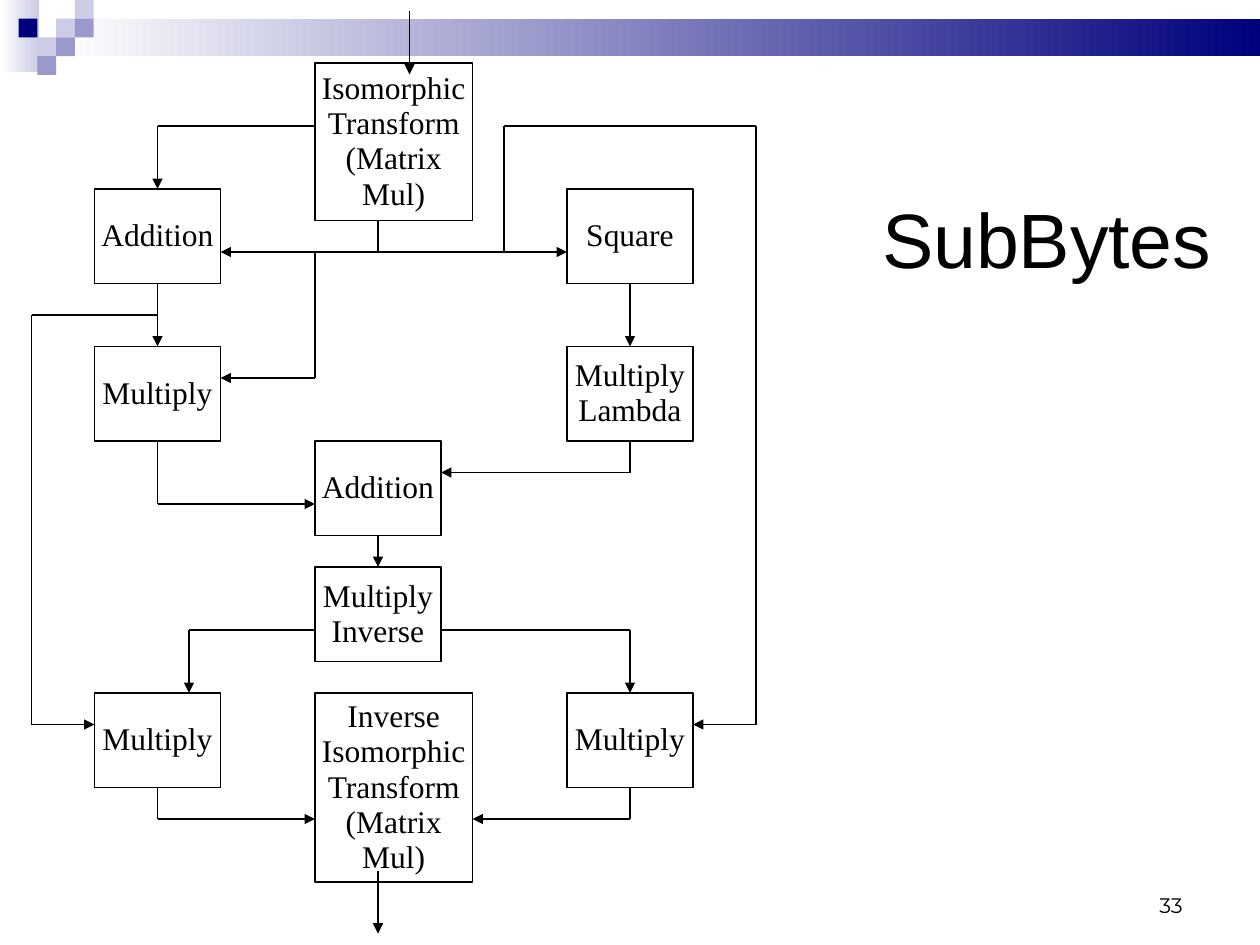
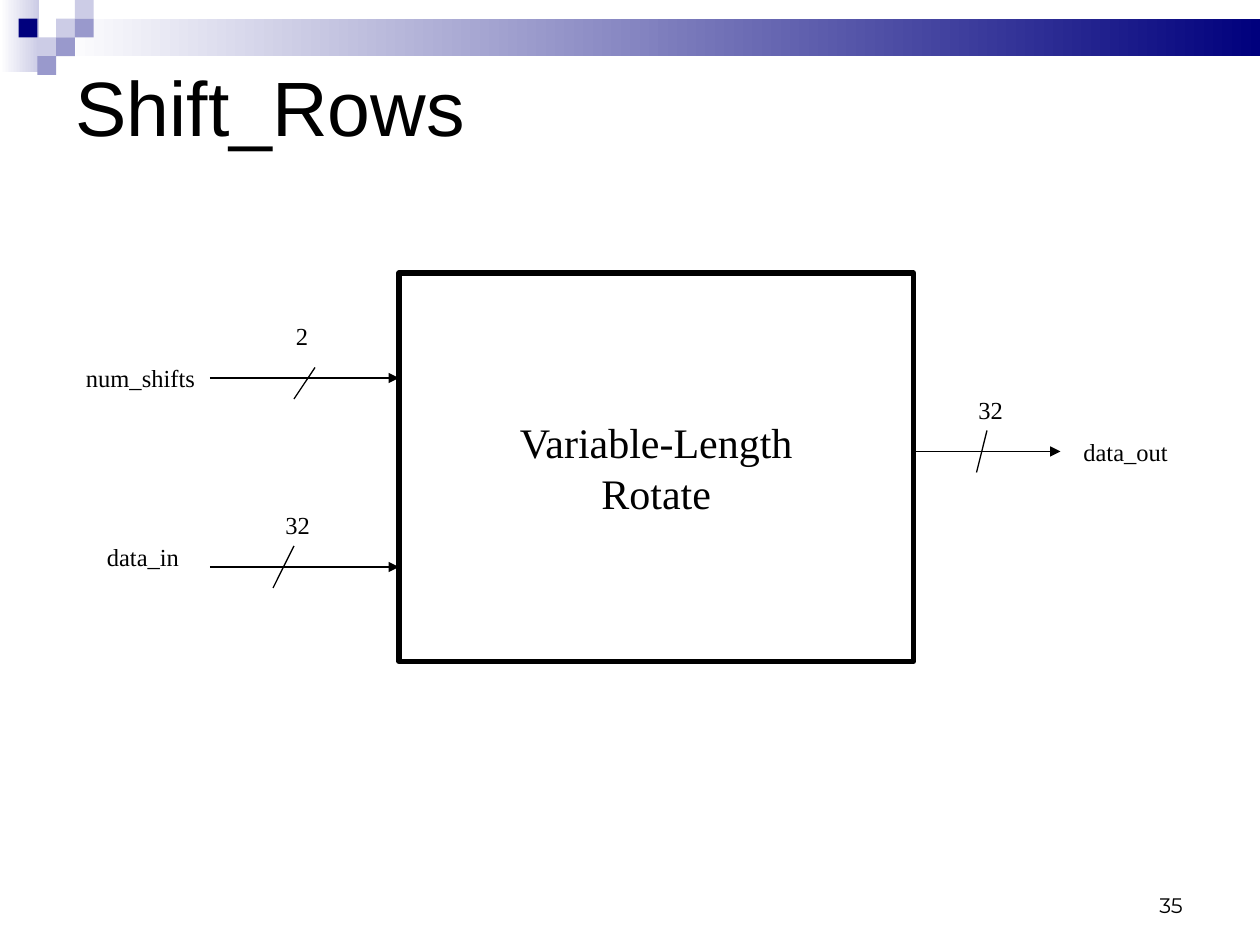
from itertools import pairwise

from lxml import etree
from pptx import Presentation
from pptx.dml.color import RGBColor
from pptx.enum import shapes as kinds, text as modes
from pptx.oxml.ns import qn
from pptx.util import Pt

INK = {"black": "000000", "white": "FFFFFF", "navy": "00007D",
       "mid": "9999CC", "pale": "CCCCE6"}
RGB = {name: RGBColor.from_string(code) for name, code in INK.items()}
SERIF, SANS, FOOT = "Times New Roman", "Arial", "Montserrat"
LEFT, MID, RIGHT = modes.PP_ALIGN.LEFT, modes.PP_ALIGN.CENTER, modes.PP_ALIGN.RIGHT
TOP, MIDDLE, BOTTOM = (modes.MSO_ANCHOR.TOP, modes.MSO_ANCHOR.MIDDLE,
                       modes.MSO_ANCHOR.BOTTOM)
FIXED, GROW = modes.MSO_AUTO_SIZE.NONE, modes.MSO_AUTO_SIZE.SHAPE_TO_FIT_TEXT
RECT = kinds.MSO_SHAPE.RECTANGLE


def write(shape, words, size, font, frame, para):
    """Fill a shape with lines of text; frame and para hold format values."""
    body = shape.text_frame
    body.text = words
    for key, val in frame.items():
        setattr(body, key, val)
    for line in body.paragraphs:
        for key, val in para.items():
            setattr(line, key, val)
        for key, val in {"size": Pt(size), "name": font}.items():
            setattr(line.font, key, val)
        line.font.color.rgb = RGB["black"]


def wire(slide, grid, points, arrow):
    """Join grid points with straight lines, the last one with an arrowhead."""
    for start, end in pairwise(points):
        line = slide.shapes.add_connector(
            kinds.MSO_CONNECTOR.STRAIGHT, *[Pt(v * grid) for v in start + end])
        line.line.width = Pt(0.75)
        line.line.color.rgb = RGB["black"]
        props = line.element.spPr
        if arrow and end == points[-1]:
            etree.SubElement(props.find(qn("a:ln")), qn("a:tailEnd"), type="triangle")
        etree.SubElement(props, qn("a:effectLst"))


# Each page has its own grid, in points; boxes, wires and labels are in grid units.
pages = [
    {
        "title": "SubBytes", "number": "33", "grid": 18,
        "place": (504, 97.2, 648, 82.8), "inset": (0, 0), "lead": 0.93,
        "size": 18, "edge": 0.75, "spacing": 0.93,
        "boxes": [
            (10, 2, 5, 5, "Isomorphic\nTransform\n(Matrix\nMul)"),
            (18, 6, 4, 3, "Square"),
            (3, 6, 4, 3, "Addition"),
            (18, 11, 4, 3, "Multiply\nLambda"),
            (3, 11, 4, 3, "Multiply"),
            (3, 22, 4, 3, "Multiply"),
            (18, 22, 4, 3, "Multiply"),
            (10, 18, 4, 3, "Multiply\nInverse"),
            (10, 14, 4, 3, "Addition"),
            (10, 22, 5, 6, "Inverse\nIsomorphic\nTransform\n(Matrix\nMul)"),
        ],
        "arrows": [
            [(13, 0.36), (13, 2.36)],
            [(10, 4), (5, 4), (5, 6)],
            [(12, 8), (7, 8)],
            [(12, 8), (18, 8)],
            [(5, 9), (5, 11)],
            [(10, 8), (10, 12), (7, 12)],
            [(5, 14), (5, 16), (10, 16)],
            [(5, 10), (1, 10), (1, 23), (3, 23)],
            [(16, 8), (16, 4), (19, 4), (24, 4), (24, 23), (22, 23)],
            [(20, 9), (20, 11)],
            [(20, 14), (20, 15), (14, 15)],
            [(12, 17), (12, 18)],
            [(10, 20), (6, 20), (6, 22)],
            [(14, 20), (20, 20), (20, 22)],
            [(5, 25), (5, 26), (10, 26)],
            [(20, 25), (20, 26), (15, 26)],
            [(12, 27.64), (12, 29.64)],
        ],
        "lines": [[(12, 7), (12, 8)]],
        "labels": [],
    },
    {
        "title": "Shift_Rows", "number": "35", "grid": 6,
        "place": (36, 21.6, 648, 90), "inset": (7.2, 3.6), "lead": 0.71,
        "size": 24, "edge": 3, "spacing": 1.0,
        "boxes": [(38, 26, 49, 37, "Variable-Length\nRotate")],
        "arrows": [
            [(20, 36), (38, 36)],
            [(20, 54), (38, 54)],
            [(87, 43), (101, 43)],
        ],
        "lines": [
            [(94, 41), (93, 45)],
            [(30, 35), (28, 38)],
            [(28, 52), (26, 56)],
        ],
        "labels": [
            (27, 30, 6, "2"),
            (92, 37, 6, "32"),
            (26, 48, 6, "32"),
            (7, 34, 18, "num_shifts"),
            (102, 41, 18, "data_out"),
            (9, 51, 18, "data_in"),
        ],
    },
]

deck = Presentation()
deck.slide_width, deck.slide_height = Pt(720), Pt(540)
layout = deck.slide_layouts[5]
slides = [deck.slides.add_slide(layout) for page in pages]

# Header band and mosaic: drawn once, then moved to the shared layout.
CELL = 10.7
decor = [(0, 0, 22.3, 41, "pale", True), (32.4, 10.8, 687.6, 21.4, "navy", True)]
for col, row, hue in [(3, 1, "pale"), (4, 0, "pale"), (4, 1, "mid"), (2, 2, "pale"),
                      (1, 1, "navy"), (3, 2, "mid"), (2, 3, "mid")]:
    decor.append((col * CELL, row * CELL, CELL, CELL, hue, False))
for *place, hue, fade in decor:
    patch = slides[0].shapes.add_shape(RECT, *[Pt(v) for v in place])
    patch.shadow.inherit = False
    patch.line.fill.background()
    if fade:
        patch.fill.gradient()
        patch.fill.gradient_angle = 180
        for stop, tone in zip(patch.fill.gradient_stops, (hue, "white")):
            stop.color.rgb = RGB[tone]
    else:
        patch.fill.solid()
        patch.fill.fore_color.rgb = RGB[hue]
    layout.shapes.element.append(patch.element)

for slide, page in zip(slides, pages):
    grid = page["grid"]

    title = slide.shapes.title
    for side, val in zip(("left", "top", "width", "height"), page["place"]):
        setattr(title, side, Pt(val))
    across, down = [Pt(v) for v in page["inset"]]
    write(title, page["title"], 44, SANS,
          {"vertical_anchor": MIDDLE, "auto_size": FIXED, "word_wrap": True,
           "margin_left": across, "margin_right": across,
           "margin_top": down, "margin_bottom": down},
          {"alignment": LEFT, "line_spacing": page["lead"]})

    for *place, words in page["boxes"]:
        box = slide.shapes.add_shape(RECT, *[Pt(v * grid) for v in place])
        box.shadow.inherit = False
        box.fill.solid()
        box.fill.fore_color.rgb = RGB["white"]
        box.line.color.rgb = RGB["black"]
        box.line.width = Pt(page["edge"])
        write(box, words, page["size"], SERIF,
              {"vertical_anchor": MIDDLE, "word_wrap": False},
              {"alignment": MID, "line_spacing": page["spacing"]})

    for points in page["arrows"]:
        wire(slide, grid, points, True)
    for points in page["lines"]:
        wire(slide, grid, points, False)

    for left, top, width, words in page["labels"]:
        label = slide.shapes.add_textbox(
            Pt(left * grid), Pt(top * grid), Pt(width * grid), Pt(24.5))
        write(label, words, 14, SERIF,
              {"vertical_anchor": TOP, "word_wrap": True, "auto_size": GROW},
              {"alignment": LEFT, "space_before": Pt(8.8)})

    number = slide.shapes.add_textbox(Pt(516), Pt(504), Pt(167), Pt(24))
    write(number, page["number"], 12, FOOT,
          {"vertical_anchor": BOTTOM, "word_wrap": True, "auto_size": GROW},
          {"alignment": RIGHT})

deck.save("out.pptx")
